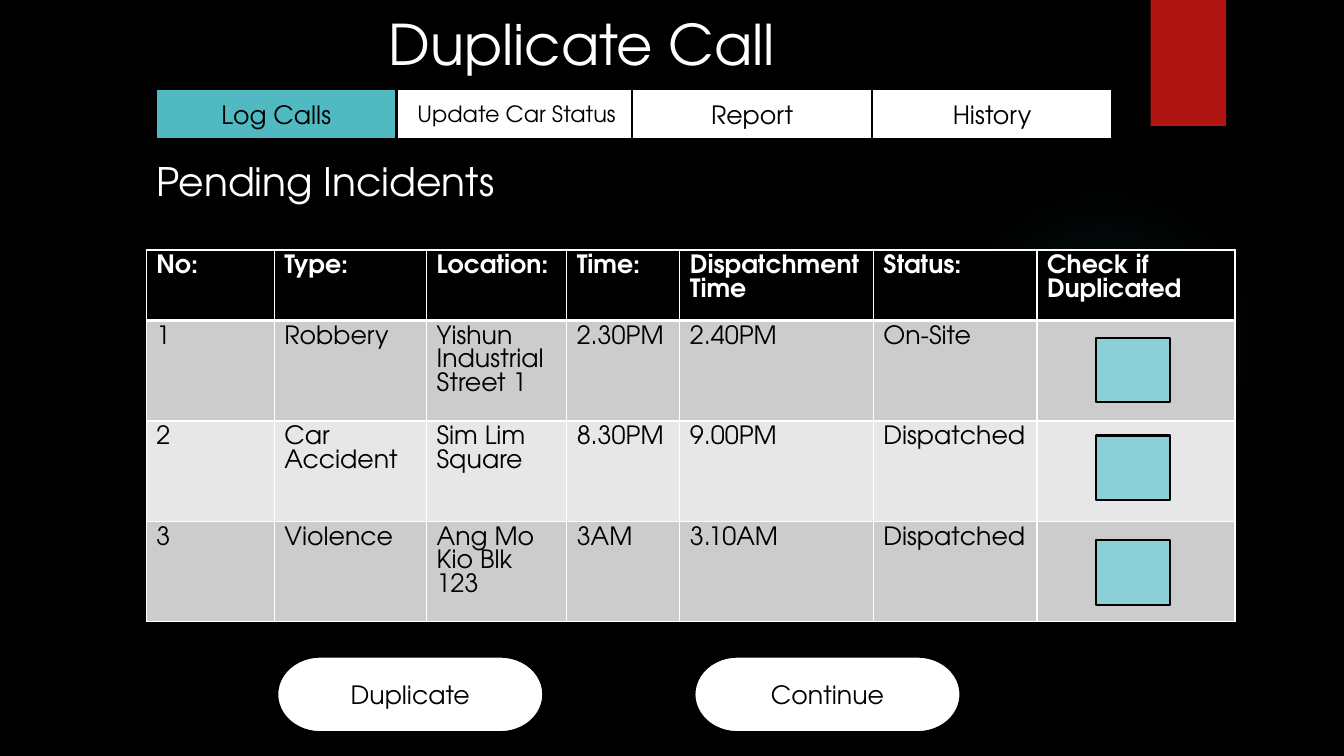
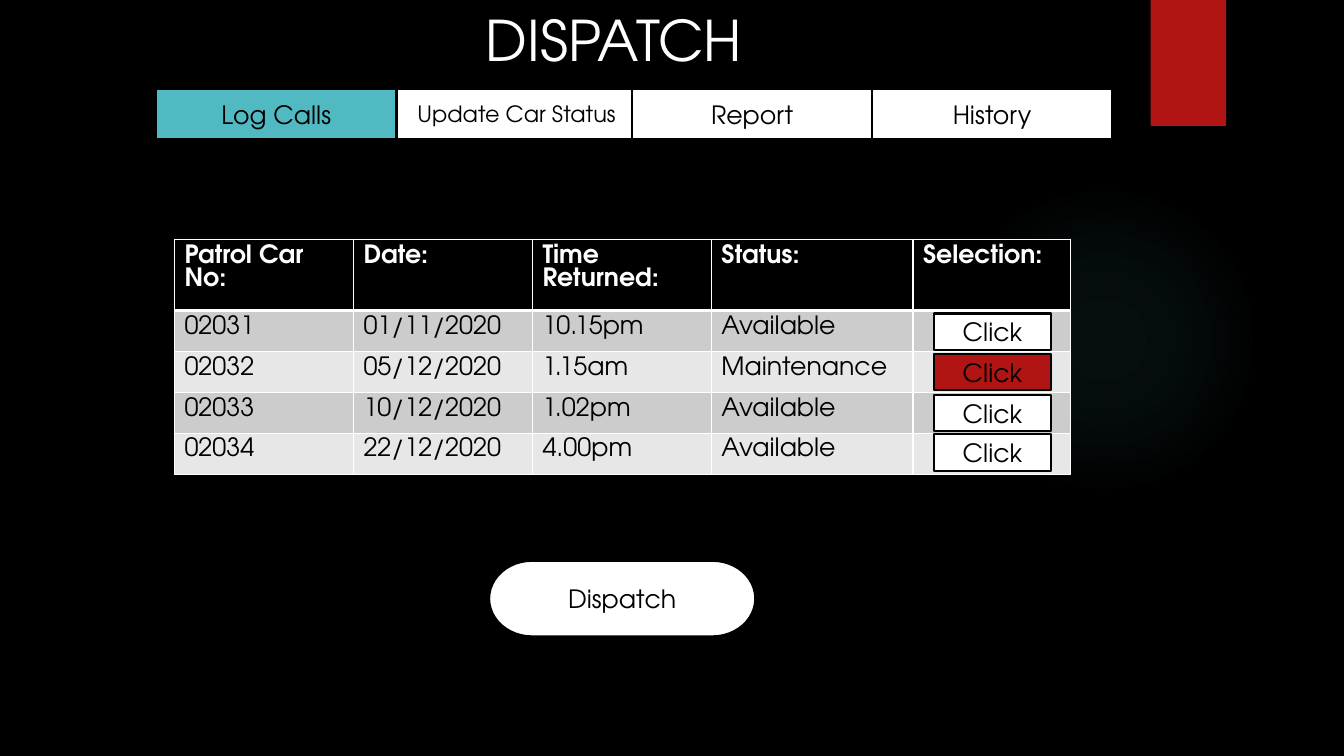
import dataclasses
import typing

import pptx
import pptx.dml.color
import pptx.enum.shapes
import pptx.enum.text
import pptx.oxml
import pptx.oxml.ns
import pptx.util

SHAPES = pptx.enum.shapes.MSO_SHAPE
ALIGN = pptx.enum.text.PP_ALIGN
ANCHOR = pptx.enum.text.MSO_ANCHOR
SLIDE_WIDTH = pptx.util.Inches(13.33)
SLIDE_HEIGHT = pptx.util.Inches(7.5)


@dataclasses.dataclass(frozen=True)
class Theme:
    font: str = "TeX Gyre Adventor"
    black: str = "000000"
    white: str = "FFFFFF"
    teal: str = "50B9C1"
    pale_teal: str = "8AD0D6"
    red: str = "B01513"
    odd_row: str = "CCCCCC"
    even_row: str = "E7E7E7"
    title_size: int = 40
    heading_size: int = 28
    body_size: int = 18
    small_size: int = 16
    outline: float = 1.5
    thin_rule: int = 1
    thick_rule: int = 3


THEME = Theme()


@dataclasses.dataclass(frozen=True)
class Area:
    """Position and size in percent of the slide."""

    left: float
    top: float
    width: float
    height: float

    def box(self) -> tuple[int, int, int, int]:
        return across(self.left), down(self.top), across(self.width), down(self.height)


@dataclasses.dataclass(frozen=True)
class Tab:
    label: str
    left: float
    fill: str = THEME.white
    size: int = THEME.body_size


@dataclasses.dataclass(frozen=True)
class Grid:
    left: float
    top: float
    columns: list[float]
    rows: list[float]
    cells: list[list[str]]


@dataclasses.dataclass(frozen=True)
class RowButtons:
    left: float
    width: float
    height: float
    tops: list[float]
    fills: list[str]
    label: str = ""


@dataclasses.dataclass(frozen=True)
class Pill:
    label: str
    left: float
    top: float


@dataclasses.dataclass(frozen=True)
class Screen:
    title: str
    title_area: Area
    grid: Grid
    buttons: RowButtons
    pills: list[Pill]
    heading: str = ""


GLOW = Area(70.59, 24.4, 23.11, 41.07)
RIBBON = Area(85.62, 0, 5.61, 16.67)
HEADING = Area(10.88, 20.13, 34.58, 7.6)
TAB_TOP, TAB_WIDTH, TAB_HEIGHT = 11.73, 17.85, 6.67
PILL_WIDTH, PILL_HEIGHT = 19.8, 10
GLOW_STOPS = [(0, 7), (36, 6), (69, 0)]

TABS = [
    Tab("Log Calls", 11.63, THEME.teal),
    Tab("Update Car Status", 29.51, size=THEME.small_size),
    Tab("Report", 47.04),
    Tab("History", 64.89),
]

SCREENS = [
    Screen(
        title="Duplicate Call",
        title_area=Area(28.17, 0.53, 32.41, 10.27),
        heading="Pending Incidents",
        grid=Grid(
            10.88,
            33.07,
            [9.53, 11.33, 10.43, 8.42, 14.4, 12.17, 14.74],
            [9.33] + [13.29] * 3,
            [
                ["No:", "Type:", "Location:", "Time:", "Dispatchment Time", "Status:", "Check if Duplicated"],
                ["1", "Robbery", "Yishun Industrial Street 1", "2.30PM", "2.40PM", "On-Site", ""],
                ["2", "Car Accident", "Sim Lim Square", "8.30PM", "9.00PM", "Dispatched", ""],
                ["3", "Violence", "Ang Mo Kio Blk 123", "3AM", "3.10AM", "Dispatched", ""],
            ],
        ),
        buttons=RowButtons(81.52, 5.55, 8.53, [44.67, 57.6, 71.47], [THEME.pale_teal] * 3),
        pills=[Pill("Duplicate", 20.63, 86.85), Pill("Continue", 51.67, 86.85)],
    ),
    Screen(
        title="DISPATCH",
        title_area=Area(35.41, 0, 21.83, 10.27),
        grid=Grid(
            12.98,
            31.73,
            [13.32] * 3 + [15, 11.7],
            [9.33] + [5.42] * 4,
            [
                ["Patrol Car No:", "Date:", "Time Returned:", "Status:", "Selection:"],
                ["02031", "01/11/2020", "10.15pm", "Available", ""],
                ["02032", "05/12/2020", "1.15am", "Maintenance", ""],
                ["02033", "10/12/2020", "1.02pm", "Available", ""],
                ["02034", "22/12/2020", "4.00pm", "Available", ""],
            ],
        ),
        buttons=RowButtons(
            69.5, 8.7, 4.8, [41.47, 46.83, 52.27, 57.47],
            [THEME.white, THEME.red, THEME.white, THEME.white], "Click",
        ),
        pills=[Pill("Dispatch", 36.4, 74.18)],
    ),
]


def across(percent: float) -> int:
    return round(SLIDE_WIDTH * percent / 100)


def down(percent: float) -> int:
    return round(SLIDE_HEIGHT * percent / 100)


def color(code: str) -> pptx.dml.color.RGBColor:
    return pptx.dml.color.RGBColor.from_string(code)


def write(frame: typing.Any, text: str, size: int, ink: str, align: typing.Any = ALIGN.LEFT, bold: bool = False) -> None:
    frame.word_wrap = True
    para = frame.paragraphs[0]
    para.text = text
    para.alignment = align
    para.font.name = THEME.font
    para.font.size = pptx.util.Pt(size)
    para.font.bold = bold
    para.font.color.rgb = color(ink)


def add_block(page: typing.Any, kind: typing.Any, area: Area, fill: str, label: str = "",
              size: int = THEME.body_size, outlined: bool = True) -> None:
    shape = page.shapes.add_shape(kind, *area.box())
    shape.shadow.inherit = False
    shape.fill.solid()
    shape.fill.fore_color.rgb = color(fill)
    if outlined:
        shape.line.color.rgb = color(THEME.black)
        shape.line.width = pptx.util.Pt(THEME.outline)
    else:
        shape.line.fill.background()
    if label:
        shape.text_frame.vertical_anchor = ANCHOR.MIDDLE
        write(shape.text_frame, label, size, THEME.black, ALIGN.CENTER)


def add_glow(page: typing.Any) -> None:
    shape = page.shapes.add_shape(SHAPES.OVAL, *GLOW.box())
    shape.shadow.inherit = False
    shape.line.fill.background()
    stops = "".join(
        f'<a:gs pos="{place * 1000}"><a:srgbClr val="{THEME.teal}"><a:alpha val="{alpha * 1000}"/></a:srgbClr></a:gs>'
        for place, alpha in GLOW_STOPS
    )
    gradient = pptx.oxml.parse_xml(
        f'<a:gradFill {pptx.oxml.ns.nsdecls("a")}><a:gsLst>{stops}</a:gsLst><a:path path="circle">'
        '<a:fillToRect l="50000" t="50000" r="50000" b="50000"/></a:path></a:gradFill>'
    )
    shape.element.spPr.insert(2, gradient)


def add_borders(cell: typing.Any, row: int) -> None:
    properties = cell._tc.get_or_add_tcPr()
    thick_side = {0: "B", 1: "T"}.get(row)
    for place, side in enumerate("LRTB"):
        points = THEME.thick_rule if side == thick_side else THEME.thin_rule
        properties.insert(place, pptx.oxml.parse_xml(
            f'<a:ln{side} {pptx.oxml.ns.nsdecls("a")} w="{pptx.util.Pt(points)}"><a:solidFill>'
            f'<a:srgbClr val="{THEME.white}"/></a:solidFill></a:ln{side}>'
        ))


def add_grid(page: typing.Any, grid: Grid) -> None:
    area = Area(grid.left, grid.top, sum(grid.columns), sum(grid.rows))
    table = page.shapes.add_table(len(grid.rows), len(grid.columns), *area.box()).table
    for column, width in zip(table.columns, grid.columns):
        column.width = across(width)
    for row, height in enumerate(grid.rows):
        table.rows[row].height = down(height)
        header = row == 0
        fill = THEME.black if header else THEME.odd_row if row % 2 else THEME.even_row
        ink = THEME.white if header else THEME.black
        for column, text in enumerate(grid.cells[row]):
            cell = table.cell(row, column)
            cell.fill.solid()
            cell.fill.fore_color.rgb = color(fill)
            add_borders(cell, row)
            write(cell.text_frame, text, THEME.body_size, ink, bold=header)


def add_row_buttons(page: typing.Any, buttons: RowButtons) -> None:
    for top, fill in zip(buttons.tops, buttons.fills):
        area = Area(buttons.left, top, buttons.width, buttons.height)
        add_block(page, SHAPES.RECTANGLE, area, fill, buttons.label)


def add_frame(page: typing.Any, screen: Screen) -> None:
    add_glow(page)
    add_block(page, SHAPES.RECTANGLE, RIBBON, THEME.red, outlined=False)
    title = page.shapes.title
    title.left, title.top, title.width, title.height = screen.title_area.box()
    title.text_frame.auto_size = pptx.enum.text.MSO_AUTO_SIZE.NONE
    title.text_frame.vertical_anchor = ANCHOR.TOP
    write(title.text_frame, screen.title, THEME.title_size, THEME.white)
    for tab in TABS:
        area = Area(tab.left, TAB_TOP, TAB_WIDTH, TAB_HEIGHT)
        add_block(page, SHAPES.RECTANGLE, area, tab.fill, tab.label, tab.size)


def add_screen(deck: typing.Any, screen: Screen) -> None:
    page = deck.slides.add_slide(deck.slide_layouts.get_by_name("Title Only"))
    add_frame(page, screen)
    add_grid(page, screen.grid)
    if screen.heading:
        box = page.shapes.add_textbox(*HEADING.box())
        write(box.text_frame, screen.heading, THEME.heading_size, THEME.white)
    add_row_buttons(page, screen.buttons)
    for pill in screen.pills:
        area = Area(pill.left, pill.top, PILL_WIDTH, PILL_HEIGHT)
        add_block(page, SHAPES.FLOWCHART_TERMINATOR, area, THEME.white, pill.label)


def main() -> None:
    deck = pptx.Presentation()
    deck.slide_width, deck.slide_height = SLIDE_WIDTH, SLIDE_HEIGHT
    backdrop = deck.slide_master.background.fill
    backdrop.solid()
    backdrop.fore_color.rgb = color(THEME.black)
    for screen in SCREENS:
        add_screen(deck, screen)
    deck.save("out.pptx")


if __name__ == "__main__":
    main()
